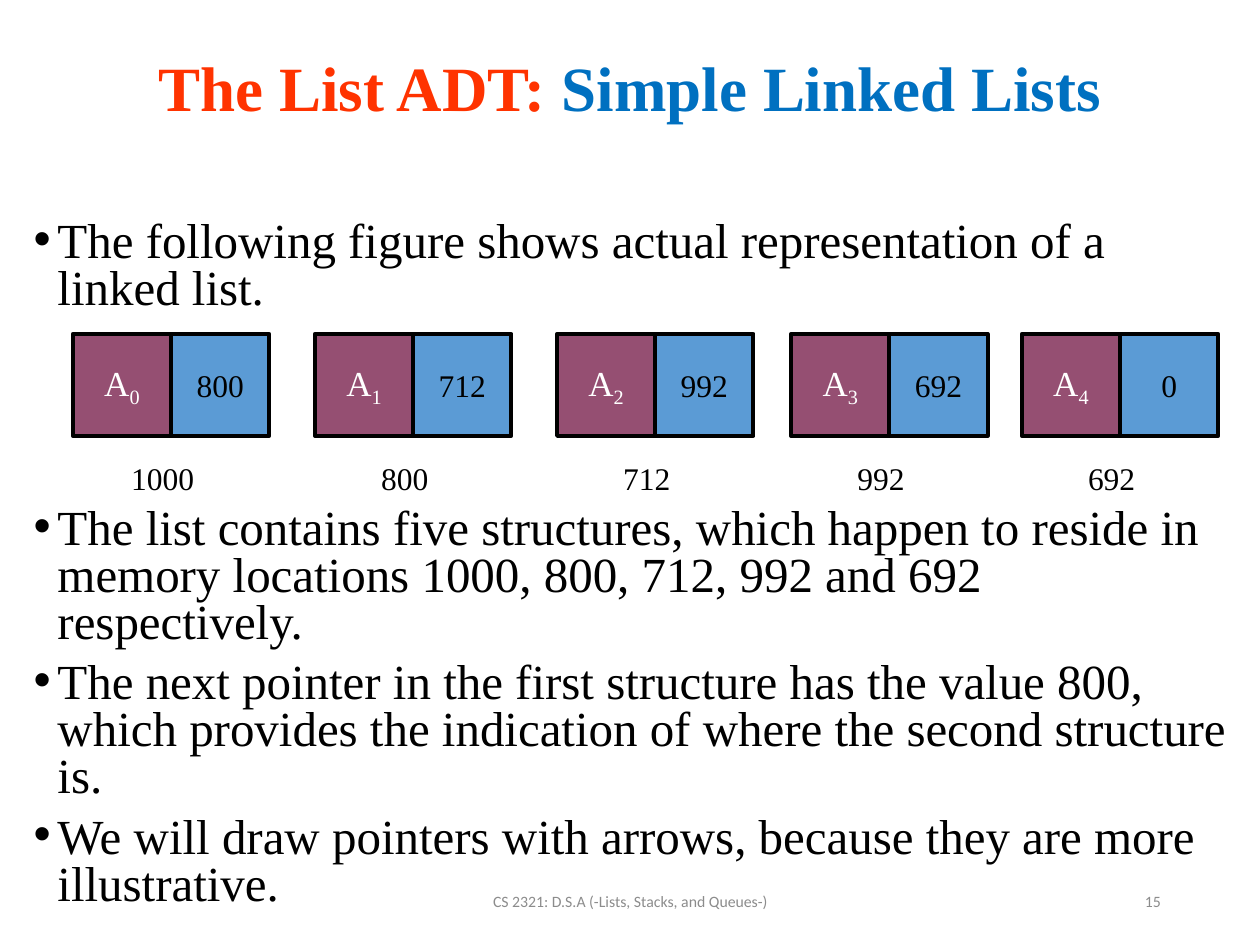
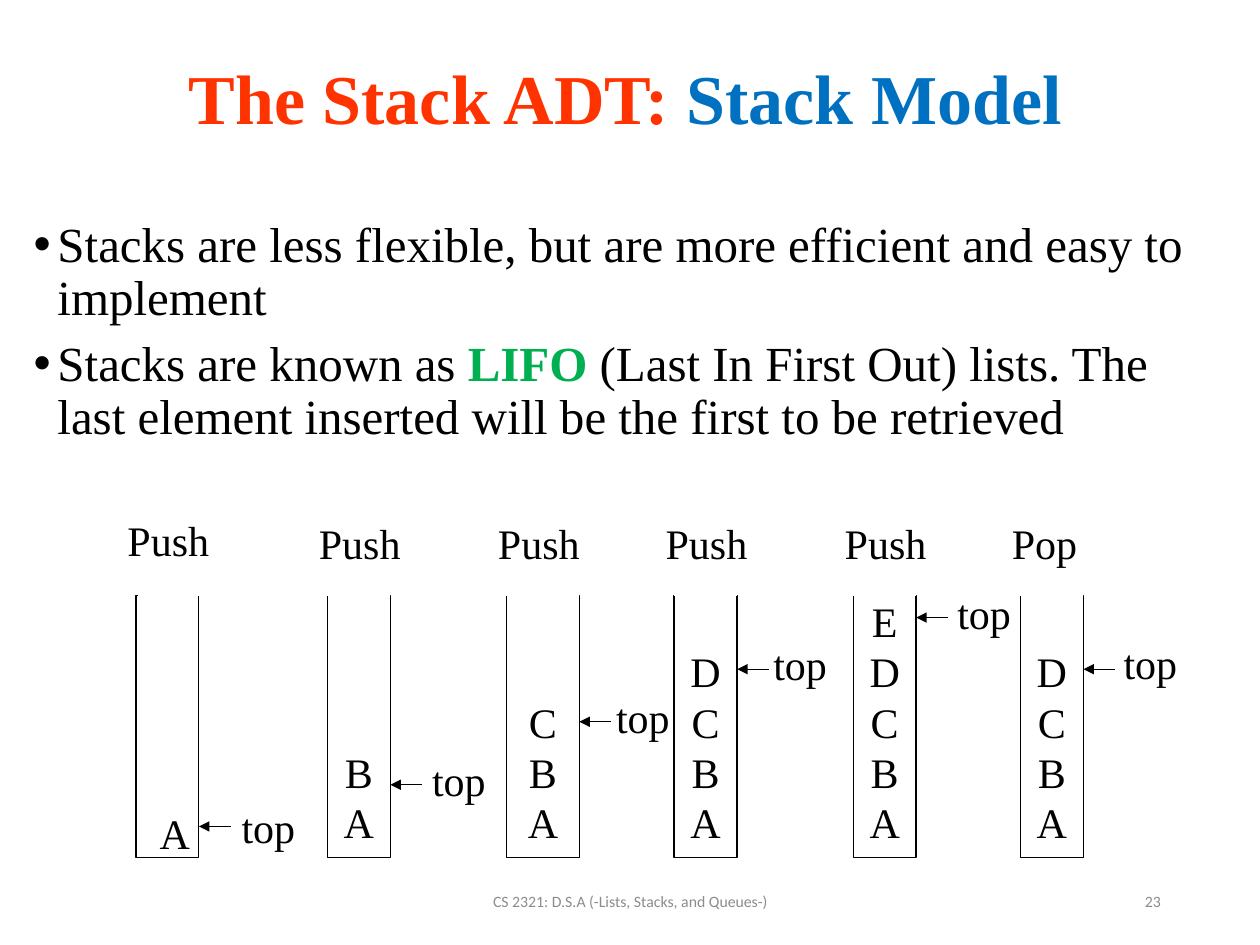
from dataclasses import dataclass
from typing import NamedTuple

from lxml.etree import SubElement
from pptx import Presentation
from pptx.dml.color import RGBColor
from pptx.enum.shapes import MSO_CONNECTOR as Connector
from pptx.enum.shapes import MSO_SHAPE as Shape
from pptx.enum.text import MSO_ANCHOR as Anchor
from pptx.enum.text import PP_ALIGN as Align
from pptx.oxml.ns import qn
from pptx.util import Cm, Pt

BLACK, WHITE, GREY = "000000", "FFFFFF", "8C8C8C"
RED, BLUE, GREEN = "FF3300", "0070C0", "00B050"
DATA_FILL, POINTER_FILL = "954F72", "5B9BD5"
SERIF, SANS = "Times New Roman", "Calibri"
COURSE = "CS 2321: D.S.A (-Lists, Stacks, and Queues-)"
BODY_LEFT, BODY_TOP, BODY_WIDTH = 0.43, 4.32, 24.56
BODY_SIZE, LETTER_SIZE = 28, 24


class Box(NamedTuple):
    left: float
    top: float
    width: float
    height: float


class Run(NamedTuple):
    text: str
    size: float
    color: str = BLACK
    bold: bool = False
    font: str = SERIF
    baseline: int = 0


@dataclass(frozen=True)
class Node:
    left: float
    address: str


@dataclass(frozen=True)
class Stack:
    left: float
    letters: str
    arrow_y: float
    top_left: float
    top_y: float
    width: float = 1.27
    operation: str = "Push"
    operation_y: float = 10.31
    rim_shift: float = 0


NODES = [Node(1.47, "1000"), Node(6.35, "800"), Node(11.23, "712"),
         Node(15.95, "992"), Node(20.6, "692")]
NODE_TOP, CELL_WIDTH, CELL_HEIGHT = 6.73, 1.98, 2.06

STACKS = [
    Stack(2.74, "", 16.66, 4.62, 16.03, operation_y=10.24, rim_shift=0.05),
    Stack(6.6, "BA", 15.82, 8.46, 15.09),
    Stack(10.21, "CBA", 14.55, 12.17, 13.82, width=1.47),
    Stack(13.59, "DCBA", 13.49, 15.34, 12.75),
    Stack(17.2, "EDCBA", 12.45, 19.05, 11.71),
    Stack(20.57, "DCBA", 13.49, 22.4, 12.73, operation="Pop"),
]
STACK_TOP, STACK_HEIGHT, ARROW_LENGTH = 12.01, 5.28, 0.64
LABEL_WIDTHS = {"Push": 2.18, "Pop": 1.85, "top": 1.6, "A": 1.14}


def rgb(color: str) -> RGBColor:
    return RGBColor.from_string(color)


def write_runs(paragraph, runs: list[Run]) -> None:
    for item in runs:
        run = paragraph.add_run()
        run.text = item.text
        run.font.name = item.font
        run.font.size = Pt(item.size)
        run.font.bold = item.bold
        run.font.color.rgb = rgb(item.color)
        if item.baseline:
            run.font._element.set("baseline", str(item.baseline * 1000))


def write_paragraphs(frame, paragraphs: list[list[Run]], align) -> list:
    written = []
    for index, runs in enumerate(paragraphs):
        paragraph = frame.add_paragraph() if index else frame.paragraphs[0]
        paragraph.alignment = align
        write_runs(paragraph, runs)
        written.append(paragraph)
    return written


def add_text(slide, box: Box, paragraphs: list[list[Run]], align=Align.LEFT,
             anchor=Anchor.TOP, wrap: bool = True) -> list:
    frame = slide.shapes.add_textbox(*map(Cm, box)).text_frame
    frame.word_wrap = wrap
    frame.vertical_anchor = anchor
    return write_paragraphs(frame, paragraphs, align)


def add_bullets(slide, top: float, height: float, spacing: float,
                bullets: list[list[Run]]) -> None:
    box = Box(BODY_LEFT, top, BODY_WIDTH, height)
    for index, paragraph in enumerate(add_text(slide, box, bullets)):
        paragraph.line_spacing = spacing
        paragraph.space_before = Pt(7.5 if index else 0)
        properties = paragraph._p.get_or_add_pPr()
        properties.set("marL", str(Cm(0.48)))
        properties.set("indent", str(-Cm(0.48)))
        SubElement(properties, qn("a:buFont")).set("typeface", "Arial")
        SubElement(properties, qn("a:buChar")).set("char", "•")


def add_rectangle(slide, box: Box, fill: str | None, line_width: float,
                  paragraphs: list[list[Run]], anchor=Anchor.MIDDLE):
    rectangle = slide.shapes.add_shape(Shape.RECTANGLE, *map(Cm, box))
    rectangle.shadow.inherit = False
    if fill:
        rectangle.fill.solid()
        rectangle.fill.fore_color.rgb = rgb(fill)
    else:
        rectangle.fill.background()
    rectangle.line.color.rgb = rgb(BLACK)
    rectangle.line.width = Pt(line_width)
    frame = rectangle.text_frame
    frame.word_wrap = False
    frame.vertical_anchor = anchor
    write_paragraphs(frame, paragraphs, Align.CENTER)
    return rectangle


def add_level_line(slide, start: float, end: float, y: float, color: str,
                   arrow: bool = False) -> None:
    line = slide.shapes.add_connector(Connector.STRAIGHT, Cm(start), Cm(y),
                                      Cm(end), Cm(y))
    line.line.color.rgb = rgb(color)
    line.line.width = Pt(0.75)
    if arrow:
        SubElement(line.line._get_or_add_ln(), qn("a:tailEnd")).set("type", "triangle")
    SubElement(line._element.spPr, qn("a:effectLst"))


def add_label(slide, text: str, left: float, top: float) -> None:
    add_text(slide, Box(left, top, LABEL_WIDTHS[text], 1.27),
             [[Run(text, LETTER_SIZE)]], wrap=False)


def add_frame(slide, title_box: Box, size: float, topic: str, subject: str,
              number: int) -> None:
    """Add the two-colour title, the course footer and the slide number."""
    title = [Run(topic, size, RED, True), Run(subject, size, BLUE, True)]
    add_text(slide, title_box, [title], Align.CENTER, Anchor.MIDDLE)
    for left, width, text, align in ((8.41, 8.59, COURSE, Align.CENTER),
                                     (17.93, 5.72, str(number), Align.RIGHT)):
        add_text(slide, Box(left, 17.65, width, 1.02),
                 [[Run(text, 9, GREY, font=SANS)]], align, Anchor.MIDDLE)


def draw_node(slide, index: int, node: Node, next_address: str) -> None:
    data = [Run("A", 20, WHITE), Run(str(index), 20, WHITE, baseline=-25)]
    cells = ((POINTER_FILL, 1, [Run(next_address, 18)]), (DATA_FILL, 0, data))
    for fill, column, runs in cells:
        box = Box(node.left + column * CELL_WIDTH, NODE_TOP, CELL_WIDTH, CELL_HEIGHT)
        add_rectangle(slide, box, fill, 2.25, [runs])
    add_text(slide, Box(node.left + 0.64, 9.12, 2.34, 1.02),
             [[Run(node.address, 18)]], Align.CENTER)


def draw_stack(slide, stack: Stack) -> None:
    """Draw an open-topped stack with its operation and its top pointer."""
    right = stack.left + stack.width
    box = Box(stack.left, STACK_TOP, stack.width, STACK_HEIGHT)
    letters = [[Run(letter, LETTER_SIZE)] for letter in stack.letters]
    rectangle = add_rectangle(slide, box, None, 0.75, letters, Anchor.BOTTOM)
    rectangle.text_frame.margin_bottom = Cm(0.21)
    add_level_line(slide, stack.left + stack.rim_shift, right + stack.rim_shift,
                   STACK_TOP, WHITE)
    add_level_line(slide, right + ARROW_LENGTH, right, stack.arrow_y, BLACK, arrow=True)
    add_label(slide, "top", stack.top_left, stack.top_y)
    add_label(slide, stack.operation, stack.left - 0.42, stack.operation_y)


def build_linked_list(slide) -> None:
    add_bullets(slide, BODY_TOP, 2.2, 0.8, [[Run(
        "The following figure shows actual representation of a linked list.", BODY_SIZE)]])
    add_bullets(slide, 10.11, 8.5, 0.8, [[Run(text, BODY_SIZE)] for text in (
        "The list contains five structures, which happen to reside in memory "
        "locations 1000, 800, 712, 992 and 692 respectively.",
        "The next pointer in the first structure has the value 800, which provides "
        "the indication of where the second structure is.",
        "We will draw pointers with arrows, because they are more illustrative.",
    )])
    next_addresses = [node.address for node in NODES[1:]] + ["0"]
    for index, (node, next_address) in enumerate(zip(NODES, next_addresses)):
        draw_node(slide, index, node, next_address)
    add_frame(slide, Box(1.27, 0.97, 22.86, 1.55), 36,
              "The List ADT: ", "Simple Linked Lists", 15)


def build_stack_model(slide) -> None:
    add_bullets(slide, BODY_TOP, 14.3, 0.9, [
        [Run("Stacks are less flexible, but are more efficient and easy to implement",
             BODY_SIZE)],
        [Run("Stacks are known as ", BODY_SIZE),
         Run("LIFO ", BODY_SIZE, GREEN, True),
         Run("(Last In First Out) lists. The last element inserted will be the "
             "first to be retrieved", BODY_SIZE)],
    ])
    for stack in STACKS:
        draw_stack(slide, stack)
    add_label(slide, "A", 2.97, 16.15)
    add_frame(slide, Box(0.64, 1.17, 23.93, 1.55), 40,
              "The Stack ADT: ", "Stack Model", 23)


def main() -> None:
    deck = Presentation()
    deck.slide_width, deck.slide_height = Cm(25.4), Cm(19.05)
    for build in (build_linked_list, build_stack_model):
        build(deck.slides.add_slide(deck.slide_layouts[6]))
    deck.save("out.pptx")


if __name__ == "__main__":
    main()
